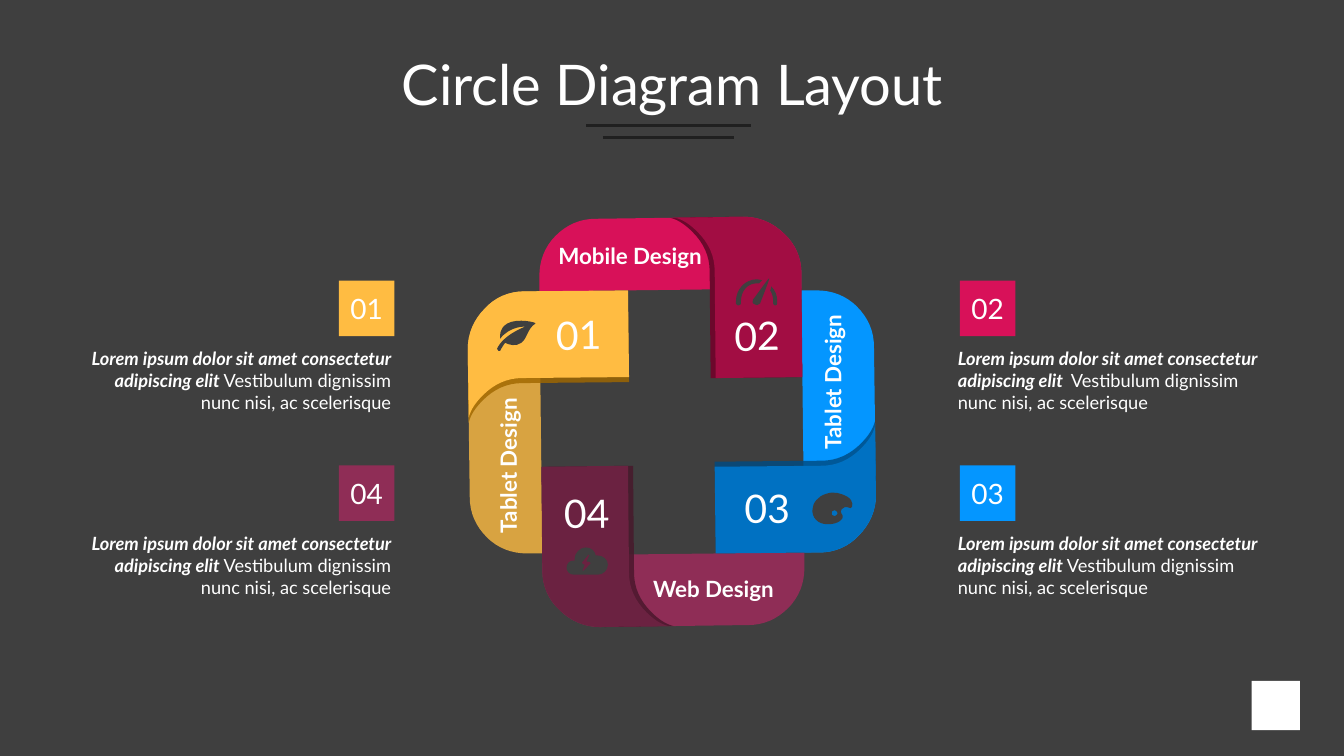
from lxml import etree
from pptx import Presentation
from pptx import util as u
from pptx.dml.color import RGBColor
from pptx.enum import shapes, text
from pptx.oxml.ns import qn

WHITE, DARK = "FFFFFF", "3F3F3F"
UNIT = 0.0254  # cm per step of the ring grid
LEFT, MID, RIGHT = text.PP_ALIGN.LEFT, text.PP_ALIGN.CENTER, text.PP_ALIGN.RIGHT
TOP, CENTER, BASE = text.MSO_ANCHOR.TOP, text.MSO_ANCHOR.MIDDLE, text.MSO_ANCHOR.BOTTOM
GROW = text.MSO_AUTO_SIZE.SHAPE_TO_FIT_TEXT

# Outlines of the top side, from the ring's centre
BAND = ("M 112 -186 C 123 -176 129 -162 129 -147 L 129 -132 L -131 -129 L -131 -144 "
        "C -131 -159 -126 -173 -115 -184 C -104 -195 -91 -201 -75 -201 L 72 -203 "
        "C 87 -203 101 -197 112 -186 Z")
FLAP = ("M 72 -203 C 87 -203 101 -197 112 -186 C 123 -176 129 -162 129 -147 L 130 -44 "
        "L 44 -43 L 43 -149 C 43 -164 37 -177 26 -188 C 19 -195 12 -200 4 -202 Z")
GAUGE = ("M 17 21 C 16 23 16 25 19 26 C 20 27 22 27 24 25 C 25 22 34 0 33 0 "
         "C 32 0 19 19 17 21 Z M 21 5 C 22 5 22 5 23 5 C 24 4 25 3 26 2 C 24 1 23 1 21 1 "
         "C 9 1 0 11 0 23 L 0 25 C 0 26 2 27 2 27 C 4 27 5 26 5 25 L 5 23 "
         "C 5 13 11 5 21 5 Z M 35 8 C 35 9 35 11 34 12 C 36 15 37 19 37 23 L 37 25 "
         "C 37 26 38 27 39 27 C 40 27 41 26 41 25 L 41 23 C 41 17 39 12 35 8 Z")
PALETTE = ("M 36 6 C 29 2 22 0 14 3 C 7 5 1 12 1 18 C 0 26 6 33 16 33 C 28 33 31 27 31 26 "
           "C 32 24 27 21 30 18 C 34 14 37 17 39 17 C 41 16 42 10 36 6 Z "
           "M 23 25 C 20 25 20 23 20 22 C 20 21 20 19 23 19 C 24 19 26 21 26 22 "
           "C 26 23 24 25 23 25 Z")
CLOUD = ("M 31 8 C 30 8 30 8 29 8 C 28 3 24 0 19 0 C 13 0 8 6 8 11 C 8 11 8 12 8 13 "
         "L 7 13 C 3 13 0 16 0 20 C 0 24 3 27 7 27 L 31 27 C 36 27 41 23 41 17 "
         "C 41 12 36 8 31 8 Z M 23 17 C 22 18 18 22 17 23 L 16 23 L 16 22 L 18 17 L 17 17 "
         "C 16 16 15 16 15 15 C 15 14 15 14 16 14 L 21 8 L 22 7 L 23 8 L 22 9 L 20 14 "
         "L 22 14 C 23 14 24 15 24 16 L 23 17 Z")
LEAF = ("M 10 6 C 2 11 3 18 3 21 C 13 8 28 9 28 9 C 28 9 6 17 0 31 C 0 33 3 34 3 33 "
        "C 5 29 8 25 8 25 C 12 27 19 29 24 25 C 30 21 30 11 38 6 C 41 5 20 0 10 6 Z")

# Per side, clockwise from the top: centre shift, then (colour, opacity) of each layer
SIDES = [
    ((0, 0), ("D81159", 100), ("6C082C", 100), ("A20D43", 100)),
    ((0, 1), ("0496FF", 100), ("004B82", 82), ("0071C2", 100)),
    ((1, 1), ("8F2D56", 100), ("48172B", 82), ("6B2241", 100)),
    ((1, 0), ("FFBC42", 80), ("A06800", 82), ("FFBC42", 100)),
]
NUMS = [("02", 62, -109), ("03", 72, 62), ("01", -115, -110), ("04", -107, 67)]
TAGS = [("Mobile Design", -122, -183, 169, 0), ("Web Design", -28, 148, 146, 0),
        ("Tablet Design", 80, -61, 160, 270), ("Tablet Design", -242, 22, 160, 270)]
ICONS = [(PALETTE, 139, 69), (LEAF, -173, -103), (CLOUD, -104, 125), (GAUGE, 64, -142)]
LEAD = "Lorem ipsum dolor sit amet consectetur adipiscing elit "
NOTES = [[("01", "FFBC42", LEAD), ("02", "D81159", LEAD + " ")],
         [("04", "8F2D56", LEAD), ("03", "0496FF", LEAD)]]


def hue(code):
    return RGBColor.from_string(code)


def paint(shape, code, alpha=100):
    shape.shadow.inherit = False
    shape.fill.solid()
    shape.fill.fore_color.rgb = hue(code)
    shape.line.fill.background()
    if alpha < 100:
        tint = shape.fill._xPr.find(qn("a:solidFill"))[0]
        etree.SubElement(tint, qn("a:alpha"), val=str(alpha * 1000))


def write(shape, runs, size, align=LEFT, pad=None, **form):
    """Fill a shape with one paragraph; runs are (text, font format) pairs."""
    frame = shape.text_frame
    for key, val in ({"word_wrap": True, "vertical_anchor": TOP} | form).items():
        setattr(frame, key, val)
    if pad is not None:
        for side in ("left", "right", "top", "bottom"):
            setattr(frame, "margin_" + side, u.Cm(pad))
    para = frame.paragraphs[0]
    para.alignment = align
    for words, style in runs:
        run = para.add_run()
        run.text = words
        for key, val in ({"name": "Lato", "size": u.Pt(size)} | style).items():
            setattr(run.font, key, val)
        run.font.color.rgb = hue(WHITE)
    return para


def label(slide, box, *args, turn=0, **form):
    shape = slide.shapes.add_textbox(*map(u.Cm, box))
    shape.rotation = turn
    return write(shape, *args, **form)


def block(slide, box, code):
    shape = slide.shapes.add_shape(shapes.MSO_SHAPE.RECTANGLE, *map(u.Cm, box))
    paint(shape, code)
    return shape


def bend(shape, route):
    """Join the three points of each C step into one curve."""
    track = next(shape._element.iter(qn("a:path")))
    nodes = iter(list(track))
    for mark in filter(str.isalpha, route):
        node = next(nodes)
        if mark == "C":
            node.tag = qn("a:cubicBezTo")
            for _ in range(2):
                extra = next(nodes)
                node.append(extra[0])
                track.remove(extra)


def draw(slide, route, mid, code, alpha=100, turns=0, move=0):
    """Draw a route around mid (cm), moved sideways, then turned clockwise."""
    def spot(x, y):
        x += move
        for _ in range(turns):
            x, y = -y, x
        return u.Cm(mid[0] + x * UNIT), u.Cm(mid[1] + y * UNIT)

    pen = None
    for loop in route.split("M")[1:]:
        nums = [int(word) for word in loop.split() if not word.isalpha()]
        first, *rest = map(spot, nums[::2], nums[1::2])
        if pen:
            pen.move_to(*first)
        else:
            pen = slide.shapes.build_freeform(*first, scale=1.0)
        pen.add_line_segments(rest, close=True)
    shape = pen.convert_to_shape()
    bend(shape, route)
    paint(shape, code, alpha)


def ring(slide, x, y):
    """Draw the folded ring around its centre."""
    def at(dx, dy):
        return x + dx * UNIT, y + dy * UNIT

    for turn, (shift, band, _, _) in enumerate(SIDES):
        draw(slide, BAND, at(*shift), *band, turns=turn)
    for turn, (shift, _, shade, flap) in enumerate(SIDES):
        draw(slide, FLAP, at(*shift), *shade, turns=turn, move=-5)
        draw(slide, FLAP, at(*shift), *flap, turns=turn)
    for num, dx, dy in NUMS:
        label(slide, (*at(dx, dy), 1.17, 1.19), [(num, {})], 28, MID, 0, turn=359.4,
              word_wrap=False, vertical_anchor=BASE, auto_size=GROW)
    for tag, dx, dy, wide, turn in TAGS:
        label(slide, (*at(dx, dy), wide * UNIT, 0.94), [(tag, {"bold": True})], 16,
              turn=turn, word_wrap=False, auto_size=GROW)
    for icon, dx, dy in ICONS:
        draw(slide, icon, at(dx, dy), DARK)


def note(slide, x, y, num, code, lead, align):
    inset = 6.77 if align == RIGHT else 0.3
    badge = block(slide, (x + inset, y, 1.4, 1.4), code)
    write(badge, [(num, {})], 20, MID, vertical_anchor=CENTER)
    runs = [(lead, {"bold": True, "italic": True}),
            ("Vestibulum dignissim nunc nisi, ac scelerisque", {})]
    label(slide, (x, y + 1.56, 8.33, 1.93), runs, 13, align, auto_size=GROW)


def head(slide, x, y, wide):
    para = label(slide, (x, y, wide, 1.98), [("Circle Diagram Layout", {})], 40, MID, 0.11,
                 vertical_anchor=CENTER)
    para.line_spacing = 0.9
    for left, right, down in ((12.44, 16.58, 1.95), (12.85, 16.15, 2.24)):
        rule = slide.shapes.add_connector(
            shapes.MSO_CONNECTOR.STRAIGHT,
            *map(u.Cm, (x + left, y + down, x + right, y + down)))
        rule.line.color.rgb = hue("202020")
        rule.line.width = u.Pt(2.25)
        etree.SubElement(rule._element.spPr, qn("a:effectLst"))


def main():
    deck = Presentation()
    deck.slide_width, deck.slide_height = u.Cm(33.87), u.Cm(19.05)
    slide = deck.slides.add_slide(deck.slide_layouts[6])
    slide.background.fill.solid()
    slide.background.fill.fore_color.rgb = hue(DARK)
    block(slide, (31.54, 17.16, 1.22, 1.24), WHITE)
    head(slide, 2.34, 1.22, 29.21)
    ring(slide, 16.92, 10.62)
    for row, pair in enumerate(NOTES):
        for (x, align), item in zip(((1.77, RIGHT), (23.89, LEFT)), pair):
            note(slide, x, 7.07 + row * 4.66, *item, align)
    deck.save("out.pptx")


if __name__ == "__main__":
    main()
